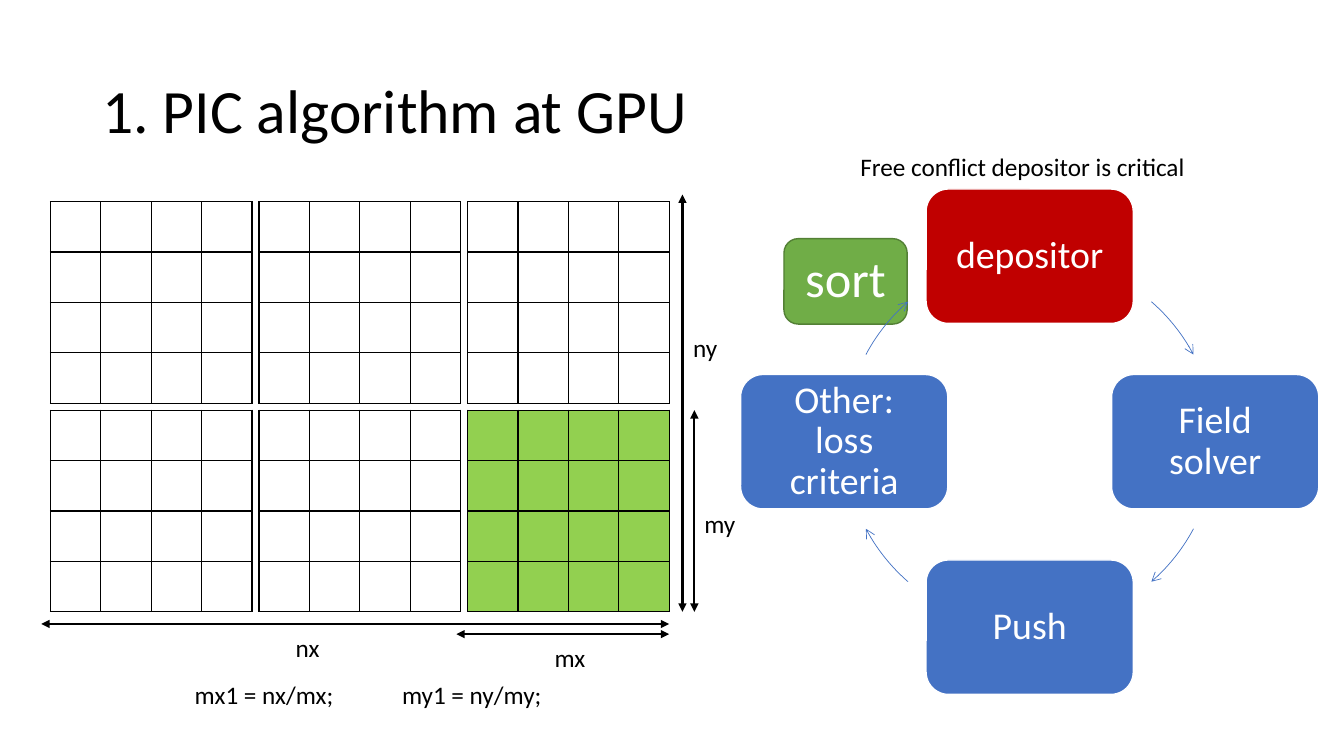
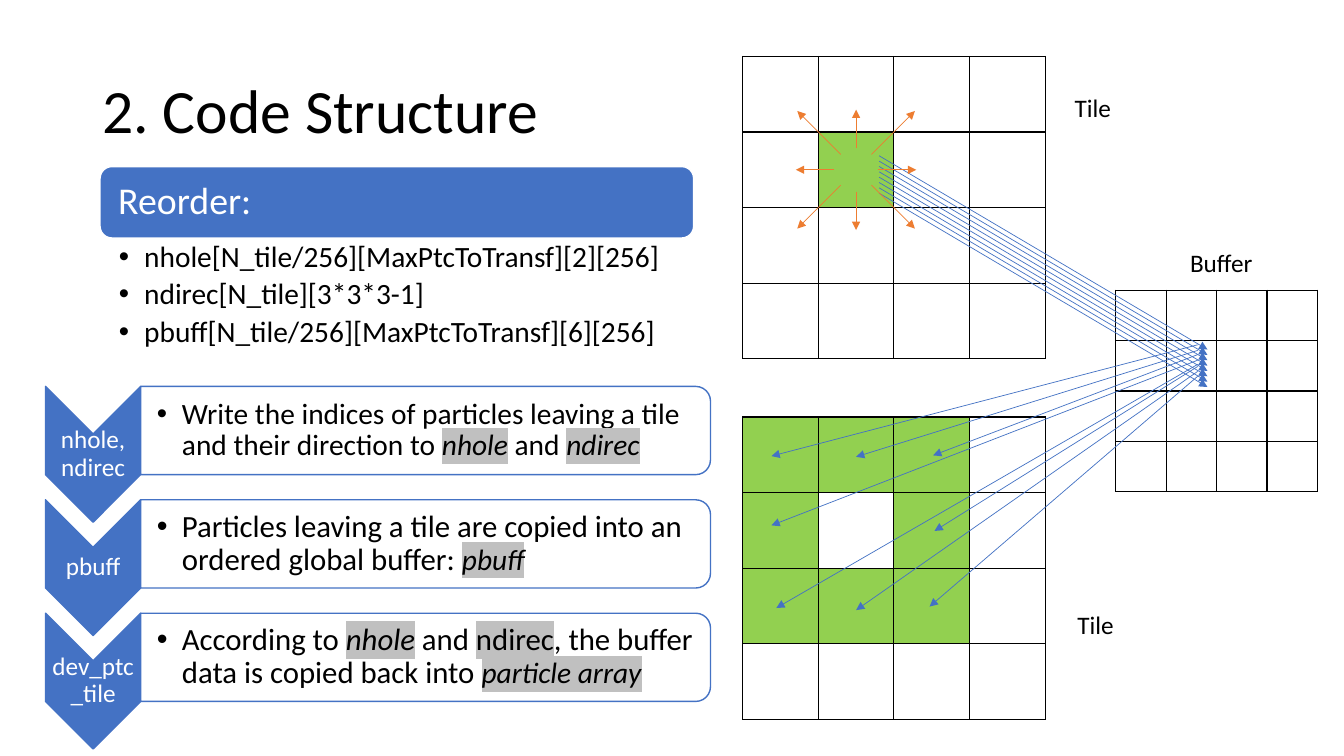
import itertools
import math

from lxml import etree
from pptx import Presentation
from pptx import util as u
from pptx.dml import color
from pptx.enum import shapes, text
from pptx.oxml import ns

COLORS = {
    "ink": "000000", "paper": "FFFFFF", "blue": "4472C4", "red": "C00000",
    "green": "70AD47", "forest": "538035", "cell": "92D050",
    "orange": "ED7D31", "mark": "C0C0C0",
}
FONT = "Calibri"
SHAPE = shapes.MSO_SHAPE
MIDDLE = text.MSO_ANCHOR.MIDDLE
CENTER = text.PP_ALIGN.CENTER


def rgb(name):
    return color.RGBColor.from_string(COLORS[name])


def add_element(parent, tag, **attributes):
    return etree.SubElement(parent, ns.qn(tag), attributes)


def add_span(para, words, size, ink="ink", italic=False, marked=False):
    span = para.add_run()
    span.text = words
    span.font.size = u.Pt(size)
    span.font.name = FONT
    span.font.italic = italic
    span.font.color.rgb = rgb(ink)
    if marked:
        latin = span._r.get_or_add_rPr().find(ns.qn("a:latin"))
        highlight = etree.Element(ns.qn("a:highlight"))
        add_element(highlight, "a:srgbClr", val=COLORS["mark"])
        latin.addprevious(highlight)


def set_frame(shape, insets, anchor=None):
    frame = shape.text_frame
    frame.word_wrap = True
    frame.margin_left, frame.margin_top, frame.margin_right, frame.margin_bottom = (
        u.Pt(inset) for inset in insets)
    if anchor is not None:
        frame.vertical_anchor = anchor
    return frame


def add_box(page, left, top, width, height, insets=(7.2, 3.6, 7.2, 3.6), anchor=None):
    box = page.shapes.add_textbox(u.Pt(left), u.Pt(top), u.Pt(width), u.Pt(height))
    return set_frame(box, insets, anchor)


def make_bullet(para):
    properties = para._p.get_or_add_pPr()
    properties.set("marL", str(u.Pt(18)))
    properties.set("indent", str(u.Pt(-18)))
    add_element(properties, "a:buFont", typeface="Arial")
    add_element(properties, "a:buChar", char="•")
    para.line_spacing = 0.9


def add_title(page, words):
    para = add_box(page, 66, 29, 828, 104, anchor=MIDDLE).paragraphs[0]
    para.line_spacing = 0.9
    add_span(para, words, 44)


def add_label(page, left, top, width, words):
    para = add_box(page, left, top, width, 29).paragraphs[0]
    if "\t" in words:
        tabs = add_element(para._p.get_or_add_pPr(), "a:tabLst")
        add_element(tabs, "a:tab", pos=str(u.Pt(144)), algn="l")
    add_span(para, words, 18)


def add_shape(page, kind, left, top, width, height, fill, line="paper"):
    shape = page.shapes.add_shape(kind, u.Pt(left), u.Pt(top), u.Pt(width), u.Pt(height))
    shape.shadow.inherit = False
    shape.fill.solid()
    shape.fill.fore_color.rgb = rgb(fill)
    shape.line.color.rgb = rgb(line)
    shape.line.width = u.Pt(1)
    return shape


def add_turned(page, kind, left, top, width, height, fill, line):
    shift = (width - height) / 2
    shape = add_shape(page, kind, left + shift, top - shift, height, width, fill, line)
    shape.rotation = 90


def add_card(page, box, words, size, fill, line="paper", inset=13, align=CENTER):
    card = add_shape(page, SHAPE.ROUNDED_RECTANGLE, *box, fill, line)
    para = set_frame(card, (inset,) * 4, MIDDLE).paragraphs[0]
    para.alignment = align
    para.line_spacing = 0.9
    add_span(para, words, size, "paper")


def style_line(shape, ink, width, **ends):
    shape.line.color.rgb = rgb(ink)
    shape.line.width = u.Pt(width)
    outline = shape._element.spPr.find(ns.qn("a:ln"))
    for end in ("headEnd", "tailEnd"):
        if end in ends:
            add_element(outline, f"a:{end}", type=ends[end])


def add_arrow(page, start, end, ink="blue", width=0.5, **ends):
    arrow = page.shapes.add_connector(
        shapes.MSO_CONNECTOR.STRAIGHT, *(u.Pt(value) for value in (*start, *end)))
    style_line(arrow, ink, width, tailEnd="triangle", **ends)
    add_element(arrow._element.spPr, "a:effectLst")


def add_grid(page, left, top, side, filled=()):
    size = u.Pt(4 * side)
    table = page.shapes.add_table(4, 4, u.Pt(left), u.Pt(top), size, size).table
    table.first_row = table.horz_banding = False
    for part in (*table.columns, ):
        part.width = u.Pt(side)
    for part in table.rows:
        part.height = u.Pt(side)
    for row, column in itertools.product(range(4), repeat=2):
        cell = table.cell(row, column)
        properties = cell._tc.get_or_add_tcPr()
        for edge in ("a:lnL", "a:lnR", "a:lnT", "a:lnB"):
            border = add_element(properties, edge, w=str(u.Pt(1)))
            fill = add_element(border, "a:solidFill")
            add_element(fill, "a:srgbClr", val=COLORS["ink"])
        if (row, column) in filled:
            cell.fill.solid()
            cell.fill.fore_color.rgb = rgb("cell")
        else:
            cell.fill.background()


def draw_domain(page, left, top):
    side, pitch = 36, 149
    right, bottom = left + 2 * pitch + 4 * side, top + pitch + 4 * side
    every_cell = set(itertools.product(range(4), repeat=2))
    for row, column in itertools.product(range(2), range(3)):
        add_grid(page, left + column * pitch, top + row * pitch, side,
                 every_cell if (row, column) == (1, 2) else ())
    dimensions = (
        ((left - 6.5, bottom + 8.7), (right, bottom + 8.7)),
        ((left + 290, bottom + 16), (right, bottom + 16)),
        ((right + 9.5, top - 5), (right + 9.5, bottom)),
        ((right + 18, top + pitch), (right + 18, bottom)),
    )
    for start, end in dimensions:
        add_arrow(page, start, end, "ink", 1.5, headEnd="triangle")
    add_label(page, left + 168, bottom + 11, 35, "nx")
    add_label(page, left + 353, bottom + 18.5, 46, "mx")
    add_label(page, right + 10, top + 90, 35, "ny")
    add_label(page, right + 18, top + 215.5, 46, "my")
    add_label(page, left + 96, bottom + 45, 275, "mx1 = nx/mx;\t my1 = ny/my;")


def draw_cycle(page, left, top):
    width, height, radius = 148, 96, 132.5
    middle_x, middle_y = left + radius + width / 2, top + radius + height / 2

    def point(degrees):
        angle = math.radians(degrees)
        return (middle_x + radius * math.sin(angle), middle_y - radius * math.cos(angle))

    add_card(page, (left + 31, top + 35.5, 88, 61), "sort", 36, "green", "forest", 4)
    steps = (("depositor", "red", 41), ("Field solver", "blue", 118),
             ("Push", "blue", 221), ("Other: loss criteria", "blue", 298))
    for index, (words, fill, first) in enumerate(steps):
        x, y = point(90 * index)
        add_card(page, (x - width / 2, y - height / 2, width, height), words, 27, fill)
        start, *rest = [tuple(u.Pt(value) for value in point(first + 1.5 * number))
                        for number in range(15)]
        builder = page.shapes.build_freeform(*start, scale=1.0)
        builder.add_line_segments(rest, close=False)
        arc = builder.convert_to_shape()
        arc.shadow.inherit = False
        arc.fill.background()
        style_line(arc, "blue", 0.5, tailEnd="arrow")
    add_label(page, left + 78.5, top - 30.5, 280, "Free conflict depositor is critical")


def draw_reorder(page, left, top):
    width = 424
    add_card(page, (left, top, width, 51), "Reorder:", 27, "blue", inset=10.5,
             align=text.PP_ALIGN.LEFT)
    frame = add_box(page, left, top + 51, width, 86, (13.5, 3, 15, 3))
    arrays = ("nhole[N_tile/256][MaxPtcToTransf][2][256]", "ndirec[N_tile][3*3*3-1]",
              "pbuff[N_tile/256][MaxPtcToTransf][6][256]")
    for index, words in enumerate(arrays):
        para = frame.add_paragraph() if index else frame.paragraphs[0]
        make_bullet(para)
        para.space_after = u.Pt(4)
        add_span(para, words, 21)


def draw_step(page, left, top, name, spans):
    add_turned(page, SHAPE.CHEVRON, left, top, 68, 97, "blue", "blue")
    para = add_box(page, left, top + 34, 68, 29, (0.7,) * 4, MIDDLE).paragraphs[0]
    para.alignment = CENTER
    para.line_spacing = 0.9
    add_span(para, name, 18, "paper")
    add_turned(page, SHAPE.ROUND_2_SAME_RECTANGLE, left + 68, top, 407, 63, "paper", "blue")
    frame = add_box(page, left + 67.5, top + 3, 404, 57, (12, 1, 1, 1), MIDDLE)
    make_bullet(frame.paragraphs[0])
    for words, size, italic, marked in spans:
        add_span(frame.paragraphs[0], words, size, italic=italic, marked=marked)


def draw_transfer(page, left, top):
    def place(x, y):
        return (left + x, top + y)

    ring = set(itertools.product(range(3), repeat=2)) - {(1, 1)}
    add_grid(page, *place(0, 0), 54, {(1, 1)})
    add_grid(page, *place(266.5, 167), 36)
    add_grid(page, *place(0, 257.5), 54, ring)
    for index in range(8):
        shift = 3.82 * index
        add_arrow(page, place(97.5, 71 + shift), place(332, 209.4 + shift))
    returns = (
        (206, 20.5, 285.5), (210, 81, 286), (213, 136, 285), (217, 20.5, 335),
        (221.5, 137, 339), (228.5, 133.5, 393), (225, 81, 395.5), (220, 24, 394),
    )
    for start, x, y in returns:
        add_arrow(page, place(325, start), place(x, y))
    for across, down in itertools.product((-1, 0, 1), repeat=2):
        if across or down:
            near, far = (11, 42) if across and down else (15.5, 43)
            add_arrow(page, place(81 + near * across, 81 + near * down),
                      place(81 + far * across, 81 + far * down), "orange")
    add_label(page, *place(230, 22), 103, "Tile")
    add_label(page, *place(232, 391.5), 103, "Tile")
    add_label(page, *place(312.5, 133), 67, "Buffer")


def build_algorithm(page):
    add_title(page, "1. PIC algorithm at GPU")
    draw_cycle(page, 529, 135)
    draw_domain(page, 36, 144)


def build_structure(page):
    add_title(page, "2. Code Structure")
    draw_reorder(page, 71.5, 119)
    draw_transfer(page, 530.5, 40.3)
    steps = (
        ("nhole, ndirec", (
            ("Write the indices of particles leaving a tile and their direction to ",
             21, False, False),
            ("nhole", 21, True, True), (" and ", 21, False, False),
            ("ndirec", 21, True, True))),
        ("pbuff", (
            ("Particles leaving a tile are copied into an ordered global buffer: ",
             22, False, False),
            ("pbuff", 21, True, True))),
        ("dev_ptc_tile", (
            ("According to ", 22, False, False), ("nhole", 22, True, True),
            (" and ", 22, False, False), ("ndirec", 22, False, True),
            (", the buffer data is copied back into ", 22, False, False),
            ("particle array", 21, True, True))),
    )
    for index, (name, spans) in enumerate(steps):
        draw_step(page, 32.5, 276 + 81 * index, name, spans)


def main():
    deck = Presentation()
    deck.slide_width, deck.slide_height = u.Pt(960), u.Pt(540)
    for build in (build_algorithm, build_structure):
        build(deck.slides.add_slide(deck.slide_layouts[6]))
    deck.save("out.pptx")


if __name__ == "__main__":
    main()
